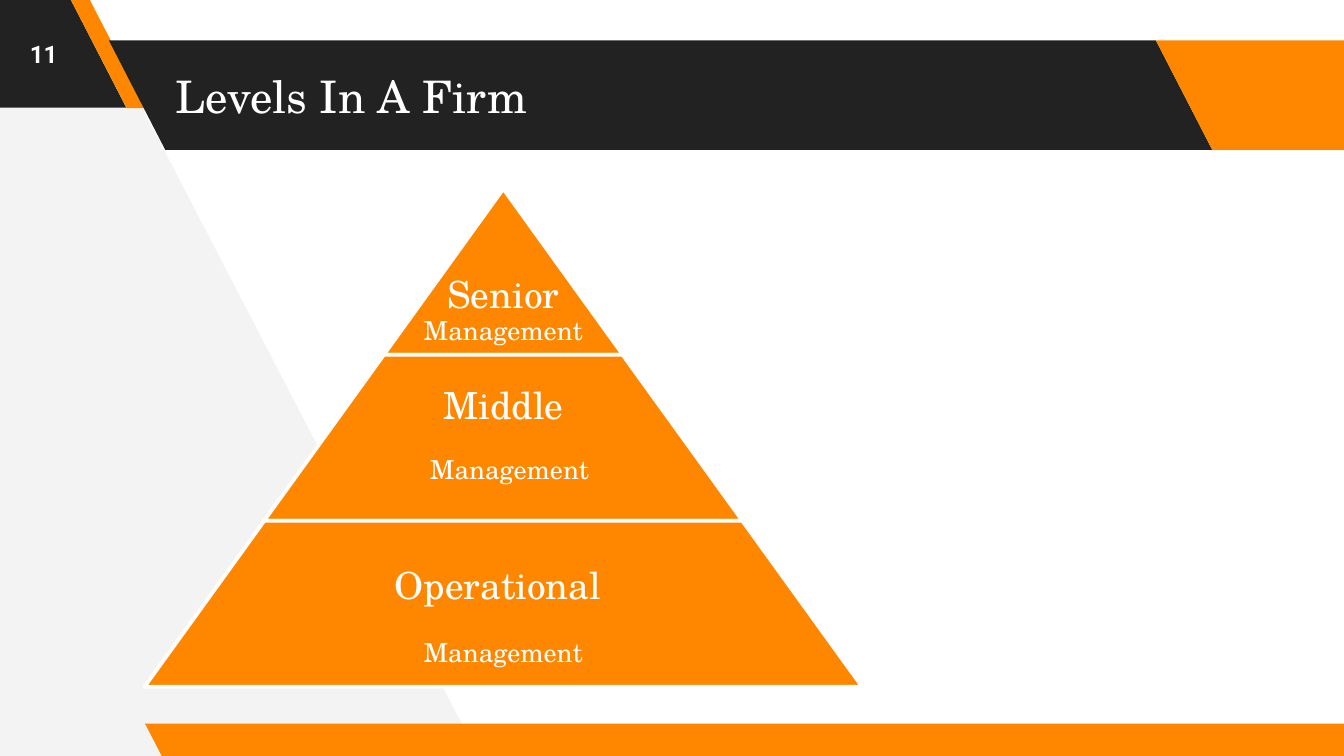
from pptx import Presentation
from pptx import util as u
from pptx.dml.color import RGBColor
from pptx.enum import shapes, text

PX = 4572  # EMU, 200 px to the inch
ORANGE = RGBColor(0xFF, 0x87, 0x00)
DARK = RGBColor(0x22, 0x22, 0x22)
PALE = RGBColor(0xF3, 0xF3, 0xF3)
WHITE = RGBColor(0xFF, 0xFF, 0xFF)
SERIF, SANS = "TeX Gyre Schola", "Roboto"
LEFT, CENTER = text.PP_ALIGN.LEFT, text.PP_ALIGN.CENTER
MIDDLE, BOTTOM = text.MSO_ANCHOR.MIDDLE, text.MSO_ANCHOR.BOTTOM

prs = Presentation()
prs.slide_width, prs.slide_height = 2000 * PX, 1125 * PX
s = prs.slides.add_slide(prs.slide_layouts[6])


def add_filled(kind, box, adj, color):
    sp = s.shapes.add_shape(kind, *(v * PX for v in box))
    sp.adjustments[0] = adj
    sp.shadow.inherit = False
    sp.fill.solid()
    sp.fill.fore_color.rgb = color
    sp.line.fill.background()
    return sp


def add_text(box, paragraphs, font=SERIF, align=CENTER, anchor=MIDDLE, inset=6, spacing=1.0):
    """Each paragraph is a list of (text, size) runs."""
    tf = s.shapes.add_textbox(*(v * PX for v in box)).text_frame
    tf.word_wrap = True
    tf.vertical_anchor = anchor
    tf.margin_left = tf.margin_right = tf.margin_top = tf.margin_bottom = inset * PX
    for i, runs in enumerate(paragraphs):
        p = tf.paragraphs[0] if i == 0 else tf.add_paragraph()
        p.alignment = align
        p.line_spacing = spacing
        if i < len(paragraphs) - 1:
            p.space_after = u.Pt(7)
        p.font.name = font
        p.font.color.rgb = WHITE
        for words, size in runs:
            r = p.add_run()
            r.text = words
            r.font.size = u.Pt(size)
    return tf


# Background and slanted bands
fb = s.shapes.build_freeform(712, 1125, scale=PX)
fb.add_line_segments([(124, -8), (-12, -8), (-4, 1132)], close=True)
sp = fb.convert_to_shape()
sp.shadow.inherit = False
sp.fill.solid()
sp.fill.fore_color.rgb = PALE
sp.line.fill.background()

for box, adj, color in [
    ((-198, -4, 386, 164), 0.515, DARK),
    ((104, -3, 113, 164), 0.75, ORANGE),
    ((162, 60, 1642, 163), 0.515, DARK),
    ((1720, 60, 384, 163), 0.515, ORANGE),
    ((216, 1077, 1830, 50), 0.515, ORANGE),
]:
    sp = add_filled(shapes.MSO_SHAPE.PARALLELOGRAM, box, adj, color)
    sp._element.spPr.xfrm.set("flipH", "1")

# Title and slide number
add_text((242, 60, 1470, 164), [[("Levels In A Firm", 24)]], align=LEFT, inset=20)
tf = add_text((0, 0, 130, 160), [[("11", 13)]], font=SANS, inset=20)
tf.paragraphs[0].font.bold = True

# Pyramid: each level is one top-width wider than the level above
CENTER_X, TOP, LEVEL_W, LEVEL_H = 749, 281, 356, 247
levels = [
    (356, [[("Senior", 20), (" ", 24), ("Management", 14)]], BOTTOM, 13, 0.9),
    (464, [[("Middle", 20)], [(" ", 24), ("Management", 14)]], MIDDLE, 6, 0.9),
    (694, [[("Operational ", 20)], [("Management", 14)]], MIDDLE, 6, 1.5),
]
for i, (text_w, paragraphs, anchor, inset, spacing) in enumerate(levels):
    w, y = LEVEL_W * (i + 1), TOP + i * LEVEL_H
    sp = add_filled(shapes.MSO_SHAPE.TRAPEZOID, (CENTER_X - w // 2, y, w, LEVEL_H), 0.722, ORANGE)
    sp.line.color.rgb = WHITE
    sp.line.width = u.Pt(2)
    add_text((CENTER_X - text_w // 2, y, text_w, LEVEL_H), paragraphs,
             anchor=anchor, inset=inset, spacing=spacing)

prs.save("out.pptx")
